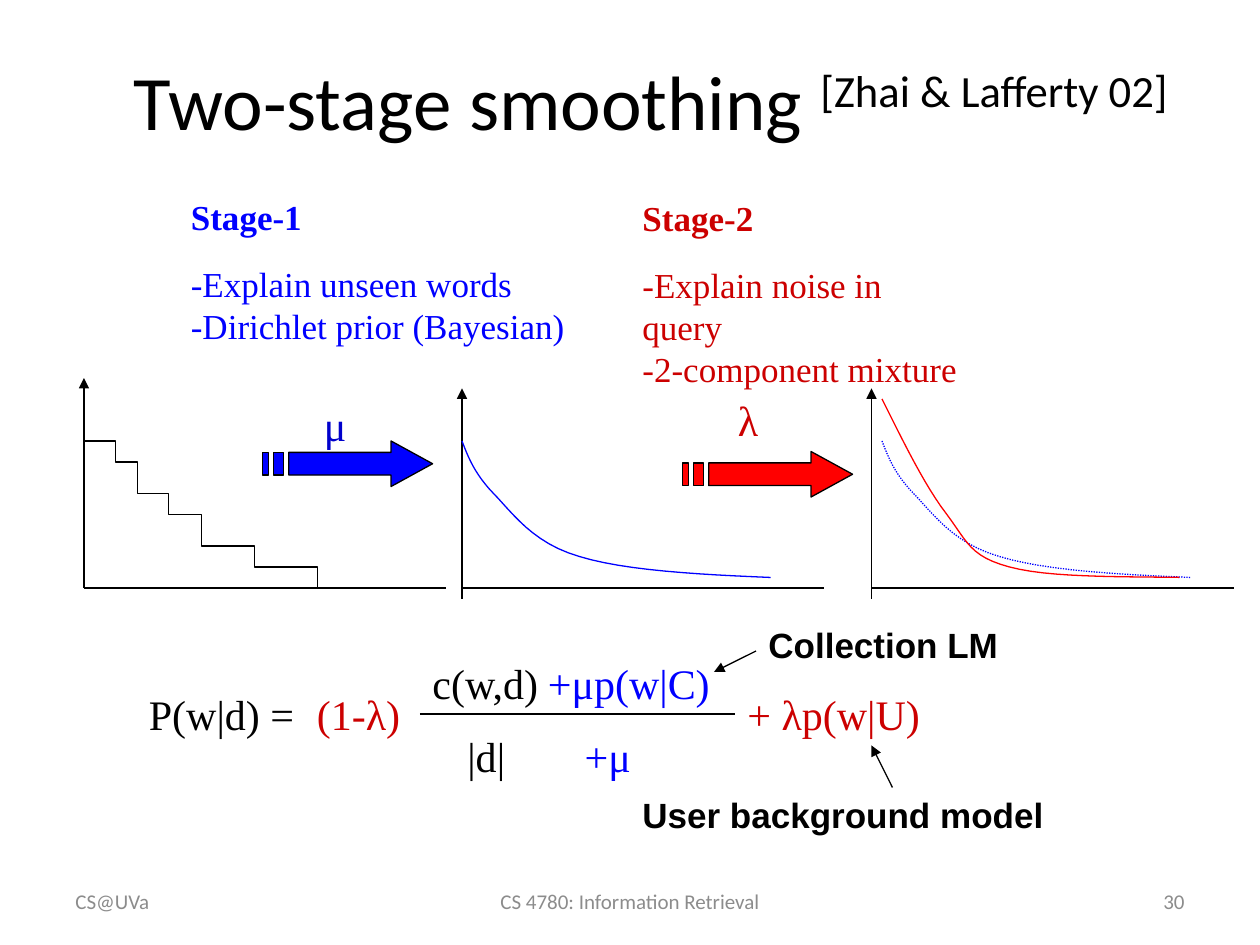
import pptx
import pptx.util
import pptx.dml.color
import pptx.enum.dml
import pptx.enum.shapes
import pptx.enum.text
import pptx.oxml.ns
from lxml import etree

Pt = pptx.util.Pt
RGBColor = pptx.dml.color.RGBColor
Align = pptx.enum.text.PP_ALIGN
Anchor = pptx.enum.text.MSO_ANCHOR
AutoSize = pptx.enum.text.MSO_AUTO_SIZE

BLACK = RGBColor(0x00, 0x00, 0x00)
BLUE = RGBColor(0x00, 0x00, 0xFF)
NAVY = RGBColor(0x00, 0x00, 0xCC)
RED = RGBColor(0xFF, 0x00, 0x00)
CRIMSON = RGBColor(0xCC, 0x00, 0x00)
GREY = RGBColor(0x8C, 0x8C, 0x8C)

TITLE = ("Two-stage smoothing ", "[Zhai & Lafferty 02]")
STAGES = [
    (["Stage-1", "-Explain unseen words", "-Dirichlet prior (Bayesian)"],
     (102, 108, 230, 94), BLUE, False),
    (["Stage-2", "-Explain noise in query", "-2-component mixture"],
     (360, 108.5, 198, 94), CRIMSON, True),
]
SYMBOLS = [
    ("c(w,d)", (240, 372, 76.5), BLACK),
    ("|d|", (260, 414, 36), BLACK),
    ("P(w|d) =", (78, 390, 102), BLACK),
    ("+μp(w|C)", (306, 372, 108), BLUE),
    ("+μ", (327, 414, 42), BLUE),
    ("μ", (178, 225, 28), NAVY),
    ("(1-λ)", (174, 390, 63.5), CRIMSON),
    ("+ λp(w|U)", (420, 390, 114.5), CRIMSON),
    ("λ", (414.5, 222, 27), CRIMSON),
]
LABELS = [
    ("Collection LM", (432, 353, 151, 31), False),
    ("User background model", (360, 450, 324, 31.5), True),
]
FOOTERS = [
    ("CS@UVa", (36, 500.5, 168, 28.75), Align.LEFT),
    ("CS 4780: Information Retrieval", (246, 500.5, 228, 28.75), Align.CENTER),
    ("30", (516, 500.5, 168, 28.75), Align.RIGHT),
]

FRACTION_BAR = ((240, 408), (420, 408))
POINTERS = [((432, 372), (408, 384)), ((510, 450), (498, 426))]
AXIS_Y, AXIS_LENGTH = 336, 207
AXES = [(48, 336, 216), (264, 342, 222), (498, 342, 222)]

STEP_X = [48, 66, 78.5, 96.5, 115, 145.5, 181.5, 212.5]
STEP_Y = [252, 264, 282, 294, 312, 324, 336]
SMOOTH = [(0, 0), (3.6, 9.4), (7.2, 18.7), (18, 30), (28.8, 41), (40.3, 58.3),
          (67, 66), (93, 74), (134.6, 76.3), (176.4, 78)]
STEEP = [(0, 0), (12.2, 24.5), (24.5, 49.7), (36.7, 65.5), (49, 82), (50.4, 90),
         (72.7, 96), (95, 102), (132.5, 101.5), (170, 102)]
CURVES = [(SMOOTH, (264, 252), BLUE, False), (SMOOTH, (504, 252), BLUE, True),
          (STEEP, (504, 228), RED, False)]
ARROW_BODY = [(73.5, 0), (73.5, 6.5), (15, 6.5), (15, 19.5), (73.5, 19.5),
              (73.5, 26), (97.2, 13)]
ARROW_STRIPES = [(6.3, 12.2), (0, 3.3)]
ARROWS = [((150, 252), BLUE), ((390, 258), RED)]


def style_run(run, font, size, color, bold=False):
    run.font.name, run.font.size, run.font.bold = font, Pt(size), bold
    run.font.color.rgb = color


def add_text(slide, lines, box, font, size, color, bold=False, wrap=False,
             align=Align.LEFT, fixed=False):
    shape = slide.shapes.add_textbox(*map(Pt, box))
    frame = shape.text_frame
    frame.text = "\n".join(lines)
    frame.word_wrap = wrap
    frame.auto_size = AutoSize.NONE if fixed else AutoSize.SHAPE_TO_FIT_TEXT
    frame.vertical_anchor = Anchor.MIDDLE if fixed else Anchor.TOP
    for paragraph in frame.paragraphs:
        paragraph.alignment = align
        for run in paragraph.runs:
            style_run(run, font, size, color, bold)
    return frame


def add_line(slide, start, end, arrow=False):
    connector = slide.shapes.add_connector(
        pptx.enum.shapes.MSO_CONNECTOR.STRAIGHT, *map(Pt, start + end))
    connector.line.color.rgb = BLACK
    connector.line.width = Pt(0.75)
    qn = pptx.oxml.ns.qn
    if arrow:
        etree.SubElement(connector.line._get_or_add_ln(), qn("a:tailEnd"), type="triangle")
    etree.SubElement(connector._element.spPr, qn("a:effectLst"))


def add_outline(slide, contours, origin, color, fill=None, closed=False):
    placed = [[(Pt(origin[0] + x), Pt(origin[1] + y)) for x, y in contour]
              for contour in contours]
    builder = slide.shapes.build_freeform(*placed[0][0], scale=1.0)
    for index, contour in enumerate(placed):
        if index:
            builder.move_to(*contour[0])
        builder.add_line_segments(contour[1:], close=closed)
    shape = builder.convert_to_shape()
    shape.shadow.inherit = False
    shape.line.color.rgb = color
    shape.line.width = Pt(0.75)
    if fill is None:
        shape.fill.background()
    else:
        shape.fill.solid()
        shape.fill.fore_color.rgb = fill
    return shape


def sample_curve(controls, steps=12):
    points = [controls[0]]
    for first in range(0, len(controls) - 1, 3):
        segment = controls[first:first + 4]
        for step in range(1, steps + 1):
            t = step / steps
            weights = ((1 - t) ** 3, 3 * t * (1 - t) ** 2, 3 * t * t * (1 - t), t ** 3)
            points.append(tuple(sum(w * p[axis] for w, p in zip(weights, segment))
                                for axis in (0, 1)))
    return points


def main():
    presentation = pptx.Presentation()
    presentation.slide_width, presentation.slide_height = Pt(720), Pt(540)
    slide = presentation.slides.add_slide(presentation.slide_layouts[6])

    title = add_text(slide, TITLE[:1], (54, 12, 636, 90), "Calibri", 44, BLACK,
                     wrap=True, align=Align.CENTER, fixed=True)
    citation = title.paragraphs[0].add_run()
    citation.text = TITLE[1]
    style_run(citation, "Calibri", 44, BLACK)
    citation.font._element.set("baseline", "30000")

    add_line(slide, *FRACTION_BAR)
    for x, bottom, top in AXES:
        add_line(slide, (x, AXIS_Y), (x + AXIS_LENGTH, AXIS_Y))
        add_line(slide, (x, bottom), (x, top), arrow=True)

    stairs = []
    for index, y in enumerate(STEP_Y):
        stairs += [(STEP_X[index], y), (STEP_X[index + 1], y)]
    add_outline(slide, [stairs], (0, 0), BLACK)

    for controls, origin, color, dotted in CURVES:
        curve = add_outline(slide, [sample_curve(controls)], origin, color)
        if dotted:
            curve.line.dash_style = pptx.enum.dml.MSO_LINE.ROUND_DOT

    stripes = [[(left, 6.5), (left, 19.5), (right, 19.5), (right, 6.5)]
               for left, right in ARROW_STRIPES]
    for origin, color in ARROWS:
        add_outline(slide, [ARROW_BODY] + stripes, origin, BLACK, color, closed=True)

    for lines, box, color, wrap in STAGES:
        frame = add_text(slide, lines, box, "Times New Roman", 20, color, wrap=wrap)
        frame.paragraphs[0].runs[0].font.bold = True
        frame.paragraphs[1].space_before = Pt(14.5)
    for text, box, color in SYMBOLS:
        add_text(slide, [text], box + (36,), "Times New Roman", 24, color)
    for text, box, wrap in LABELS:
        add_text(slide, [text], box, "Arial", 20, BLACK, bold=True, wrap=wrap)
    for start, end in POINTERS:
        add_line(slide, start, end, arrow=True)
    for text, box, align in FOOTERS:
        add_text(slide, [text], box, "Calibri", 12, GREY, wrap=True, align=align, fixed=True)

    presentation.save("out.pptx")


if __name__ == "__main__":
    main()
